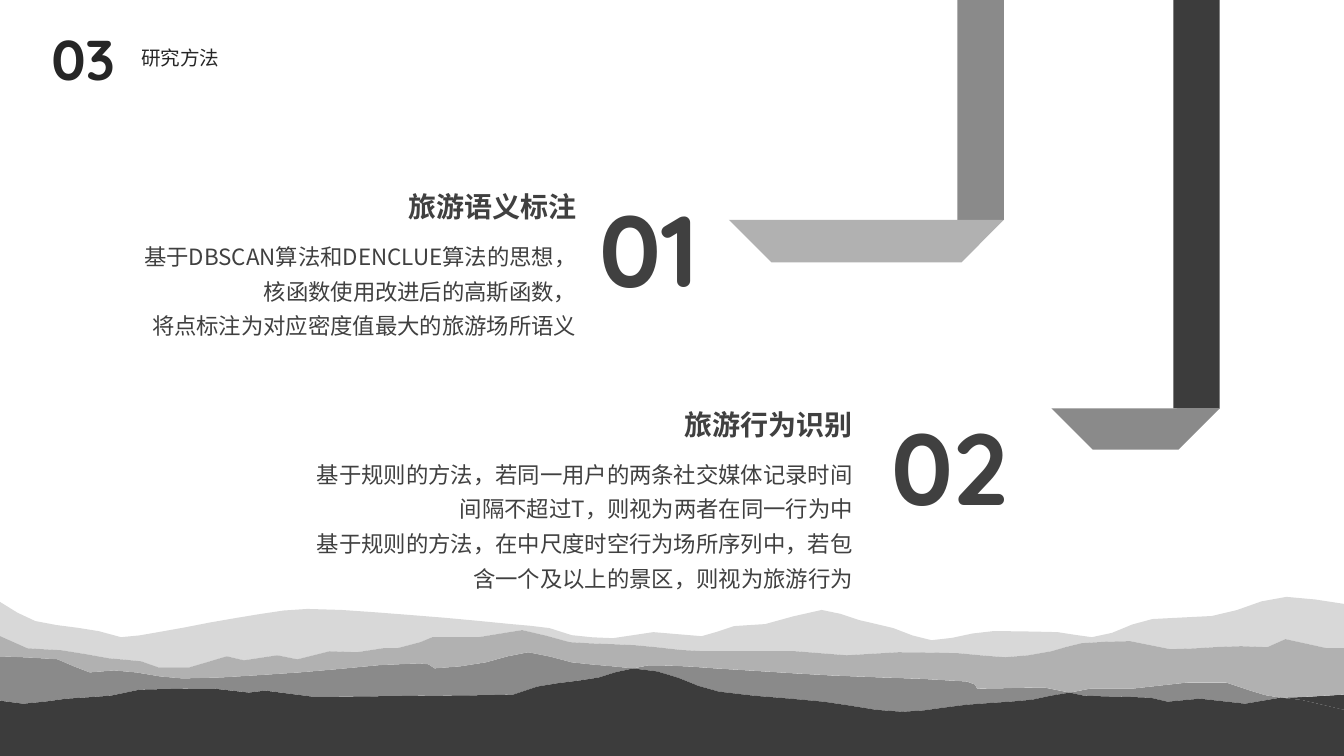
from math import sqrt

from lxml import etree
from pptx import Presentation
from pptx import util as u
from pptx.dml.color import RGBColor
from pptx.enum import shapes, text
from pptx.oxml.ns import qn

HUES = {"light": "D8D8D8", "mid": "B1B1B1", "grey": "8A8A8A",
        "dark": "3C3C3C", "head": "262626", "text": "404040"}
LATIN, HAN = "Quicksand", "Noto Sans CJK SC"
WIDE, HIGH = 33.87, 19.05

# Ridge knots: x from 0 to SPAN, y downwards from the top of the landscape
SPAN = 1333
BACK = [(0, 5), (35, 24), (98, 34), (120, 40), (157, 35), (234, 21),
        (305, 12), (407, 18), (507, 27), (545, 31), (567, 38),
        (608, 41), (648, 35), (696, 39), (728, 29), (759, 27), (815, 13),
        (852, 23), (886, 31), (924, 43), (985, 34), (1049, 35), (1083, 40),
        (1143, 22), (1202, 19), (1276, 0), (1333, 7)]
MIDDLE = [(0, 39), (27, 51), (61, 53), (108, 61), (140, 64), (157, 70),
          (188, 70), (205, 65), (225, 59), (242, 63), (275, 58), (295, 62),
          (327, 54), (354, 55), (380, 51), (394, 51), (417, 45), (429, 40),
          (475, 40), (518, 33), (565, 45), (630, 48), (698, 54), (789, 54),
          (840, 58), (891, 55), (951, 56), (997, 60), (1043, 54), (1073, 46),
          (1121, 44), (1161, 52), (1231, 49), (1257, 50), (1275, 42),
          (1316, 51), (1333, 51)]
NEAR = [(0, 59), (57, 62), (89, 75), (113, 73), (181, 81), (297, 75),
        (416, 66), (425, 67), (431, 71), (482, 65), (524, 55),
        (567, 65), (608, 69), (628, 71), (643, 68), (658, 68), (710, 71),
        (825, 78), (959, 84), (967, 87), (969, 91), (1036, 90),
        (1061, 95), (1082, 91), (1124, 91), (1178, 85),
        (1216, 85), (1240, 93), (1270, 100), (1333, 97)]
FRONT = [(0, 103), (23, 106), (66, 101), (110, 98), (139, 92), (212, 91),
         (247, 95), (263, 93), (310, 99), (428, 98),
         (509, 97), (533, 89), (594, 80), (628, 71), (652, 74),
         (713, 94), (817, 104), (895, 114), (959, 107), (1024, 102),
         (1061, 95), (1075, 98), (1141, 100), (1158, 104),
         (1190, 101), (1235, 106), (1270, 100), (1333, 112)]
FLOOR = [(0, 158), (SPAN, 158)]
# Each band lies between two ridges, from one x to another
BANDS = [(BACK, MIDDLE, 0, SPAN, "light"),
         (NEAR, FRONT, 0, 628, "grey"),
         (NEAR, FRONT, 628, 1061, "grey"),
         (NEAR, FRONT, 1061, 1270, "grey"),
         (NEAR, FRONT, 1270, SPAN, "dark"),
         (MIDDLE, NEAR, 0, SPAN, "mid"),
         (FRONT, FLOOR, 0, SPAN, "dark")]


def color(name):
    return RGBColor.from_string(HUES[name])


def paint(shape, hue):
    shape.shadow.inherit = False
    shape.fill.solid()
    shape.fill.fore_color.rgb = color(hue)
    shape.line.fill.background()


def smooth(knots, first, last):
    """Points of a curve through the knots that never overshoots them."""
    rises = [(d - b) / (c - a) for (a, b), (c, d) in zip(knots, knots[1:])]
    slopes = [rises[0]]
    for p, q in zip(rises, rises[1:]):
        slopes.append(2 * p * q / (p + q) if p * q > 0 else 0)
    slopes.append(rises[-1])
    points = [knot for knot in knots if knot[0] == first]
    for i, ((a, b), (c, d)) in enumerate(zip(knots, knots[1:])):
        if a < first or c > last:
            continue
        gap = c - a
        steps = min(3, 1 + gap // 30)
        for k in range(1, steps + 1):
            t = k / steps
            y = (b * (1 + 2 * t) * (1 - t) ** 2 + d * t * t * (3 - 2 * t)
                 + gap * t * (1 - t) * (slopes[i] * (1 - t) - slopes[i + 1] * t))
            points.append((a + gap * t, y))
    return points


def hills(slide, left, top, width):
    scale = u.Cm(width) / SPAN
    for upper, lower, first, last, hue in BANDS:
        edge = smooth(upper, first, last) + smooth(lower, first, last)[::-1]
        spots = [(u.Cm(left) + round(x * scale), u.Cm(top) + round(y * scale))
                 for x, y in edge]
        pen = slide.shapes.build_freeform(*spots[0])
        pen.add_line_segments(spots[1:], close=True)
        paint(pen.convert_to_shape(), hue)


def style(frame, size, hue, font=LATIN, bold=False, align="LEFT", space=1.3):
    for para in frame.paragraphs:
        para.alignment = text.PP_ALIGN[align]
        para.line_spacing = space
        for run in para.runs:
            run.font.size = u.Pt(size)
            run.font.bold = bold
            run.font.name = font
            run.font.color.rgb = color(hue)
            east = etree.SubElement(run.font._element, qn("a:ea"))
            east.set("typeface", HAN)


def move(shape, left, top, width, height):
    shape.left, shape.top = u.Cm(left), u.Cm(top)
    shape.width, shape.height = u.Cm(width), u.Cm(height)


def header(slide, left, top, number, name):
    title, body = slide.shapes.title, slide.placeholders[1]
    move(body, left, top, 2.24, 1.63)
    move(title, left + 2.26, top + 0.33, 5.18, 0.94)
    for shape, words, size in ((body, number, 40), (title, name, 14)):
        frame = shape.text_frame
        frame.text = words
        frame.auto_size = text.MSO_AUTO_SIZE.NONE
        style(frame, size, "head", bold=shape is body, space=0.9)
        frame.paragraphs[0].space_before = u.Pt(10)
    title.text_frame.vertical_anchor = text.MSO_ANCHOR.MIDDLE
    props = body.text_frame.paragraphs[0]._p.get_or_add_pPr()
    props.set("marL", "0")
    props.set("indent", "0")
    etree.SubElement(props, qn("a:buNone"))


def post(slide, left, height, hue, side, cut, ledge_hue):
    """A pole from the top edge with a ledge that ends at its right side."""
    width = 1.17
    pole = slide.shapes.add_shape(shapes.MSO_SHAPE.RECTANGLE, u.Cm(left), 0,
                                  u.Cm(width), u.Cm(height))
    paint(pole, hue)
    middle = left + width - side / sqrt(2)
    ledge = slide.shapes.add_shape(
        shapes.MSO_SHAPE.DIAGONAL_STRIPE, u.Cm(middle - side / 2),
        u.Cm(height - side / 2), u.Cm(side), u.Cm(side))
    ledge.adjustments[0] = cut
    ledge.rotation = 315
    ledge._element.spPr.find(qn("a:xfrm")).set("flipV", "1")
    paint(ledge, ledge_hue)


def label(group, box, words, wrap=True, **look):
    shape = group.shapes.add_textbox(*map(u.Cm, box))
    frame = shape.text_frame
    frame.text = words
    frame.word_wrap = wrap
    frame.auto_size = text.MSO_AUTO_SIZE.SHAPE_TO_FIT_TEXT
    style(frame, hue="text", **look)


def method(slide, left, top, width, height, gap, number, name, lines):
    group = slide.shapes.add_group_shape()
    right = left + width
    label(group, (left, top, width, height), "\n".join(lines),
          size=16, font=HAN, align="RIGHT")
    label(group, (right - 4.78, top - 1.4, 4.78, 1.24), name, wrap=False,
          size=20, bold=True, align="RIGHT")
    label(group, (right + gap, top - 2.13, 3.8, 3.81), number,
          size=72, bold=True)


def main():
    deck = Presentation()
    deck.slide_width, deck.slide_height = u.Cm(WIDE), u.Cm(HIGH)
    slide = deck.slides.add_slide(deck.slide_layouts[1])
    hills(slide, 0, 15.04, WIDE)
    header(slide, 1.04, 0.69, "03", "研究方法")
    post(slide, 29.57, 10.29, "dark", 3, 0.51, "grey")
    method(slide, 7.7, 11.28, 14.05, 3.73, 0.48, "02", "旅游行为识别", [
        "基于规则的方法，若同一用户的两条社交媒体记录时间间隔不超过T，则视为两者在同一行为中",
        "基于规则的方法，在中尺度时空行为场所序列中，若包含一个及以上的景区，则视为旅游行为"])
    post(slide, 24.13, 5.54, "grey", 4.9, 0.69, "mid")
    method(slide, 2.21, 5.79, 12.57, 2.84, 0.08, "01", "旅游语义标注", [
        "基于DBSCAN算法和DENCLUE算法的思想，",
        "核函数使用改进后的高斯函数，",
        "将点标注为对应密度值最大的旅游场所语义"])
    deck.save("out.pptx")


if __name__ == "__main__":
    main()
